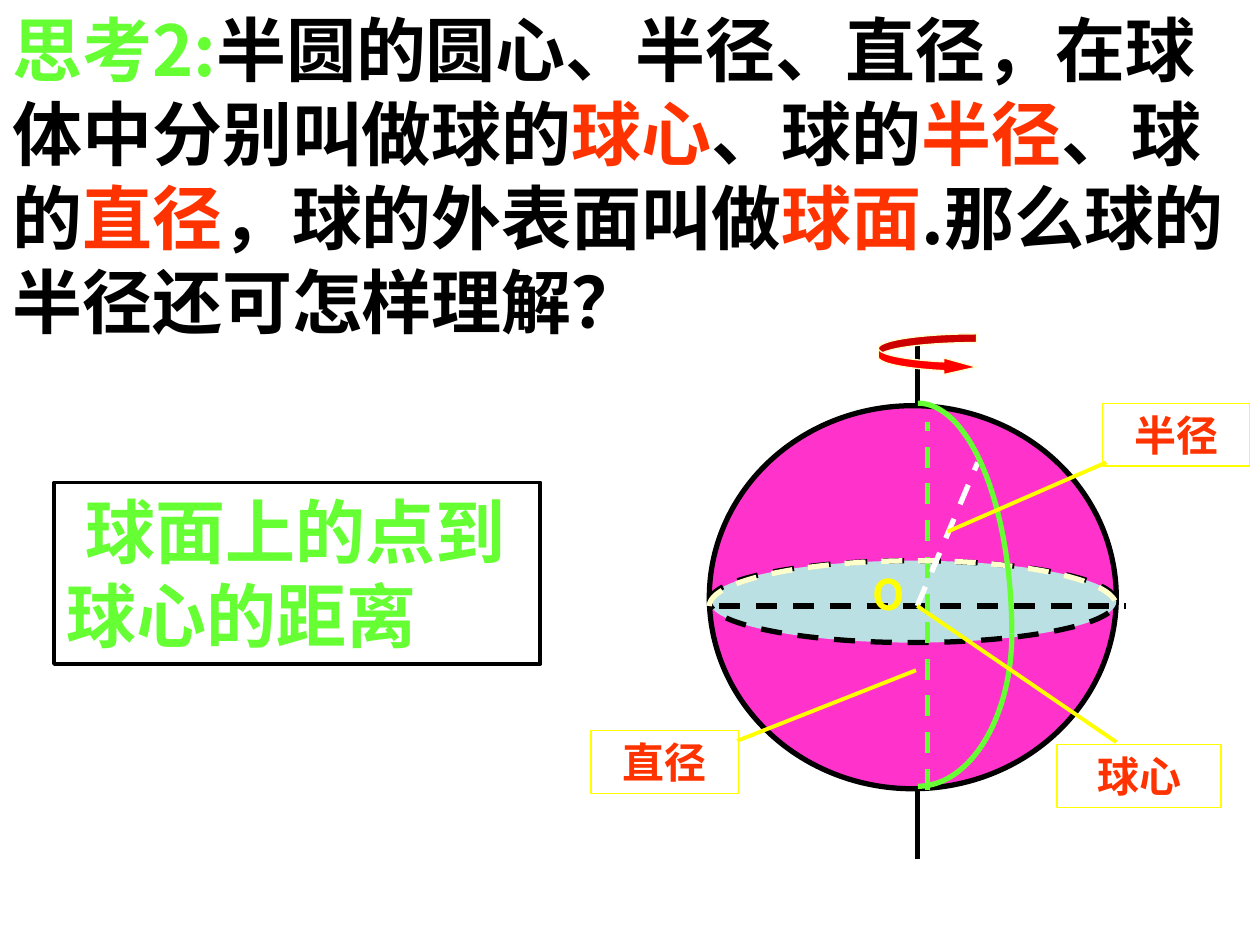
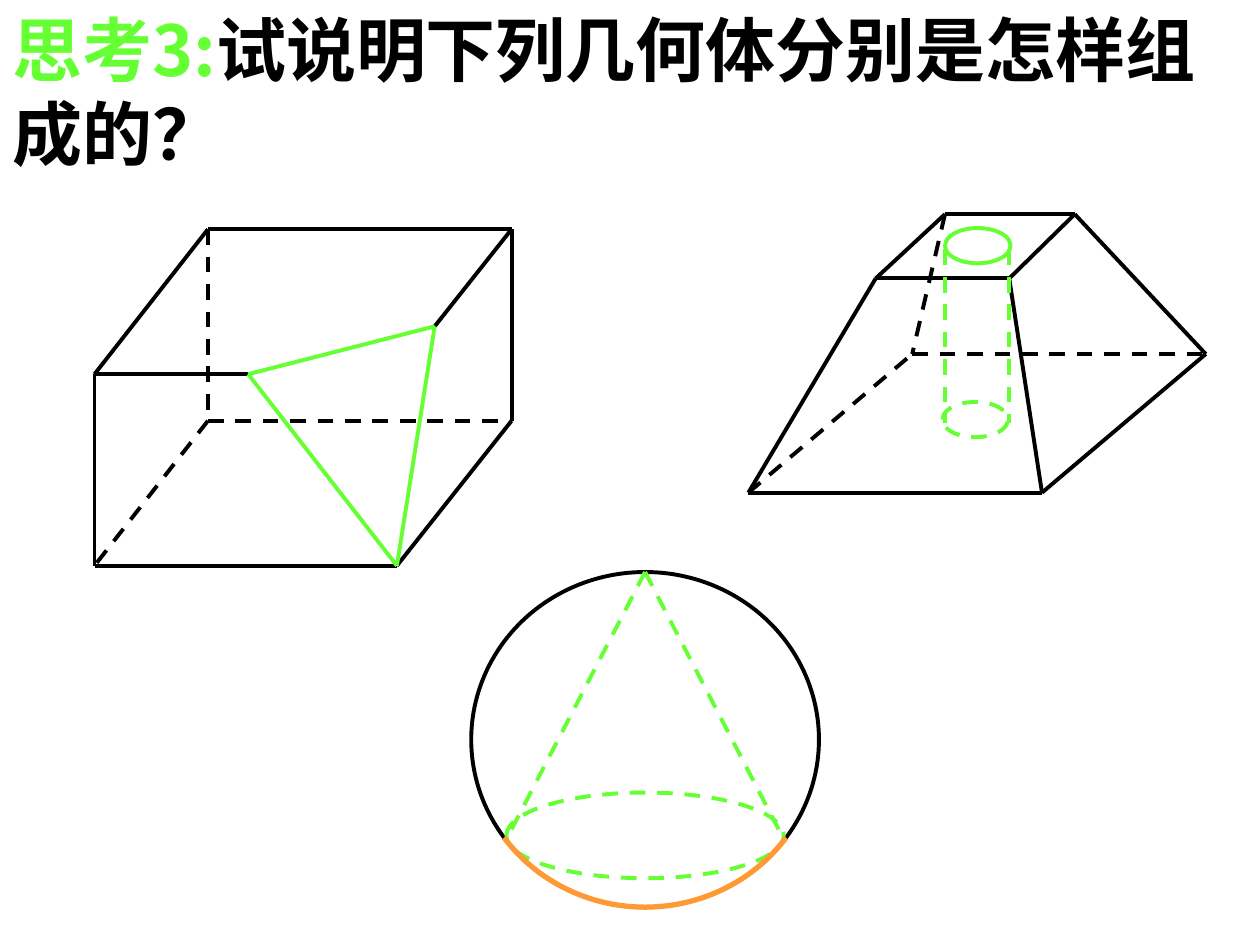
from dataclasses import dataclass

from lxml import etree
from pptx import Presentation, util as u
from pptx.dml.color import RGBColor
from pptx.enum import dml, shapes, text as t
from pptx.oxml.ns import qn


@dataclass(frozen=True)
class Theme:
    black: str = "000000"
    white: str = "FFFFFF"
    green: str = "66FF33"
    red: str = "FF3300"
    arrow: str = "FF0000"
    yellow: str = "FFFF00"
    cream: str = "FFFFCC"
    orange: str = "FF9933"
    pink: str = "FF33CC"
    blue: str = "BBE0E3"
    cjk: str = "Noto Sans CJK SC"
    latin: str = "Arial"
    big: int = 40
    small: int = 24
    leading: float = 1.2
    thin: float = 0.75
    medium: float = 2.25
    thick: float = 3


th = Theme()
geo = shapes.MSO_SHAPE
prs = Presentation()
prs.slide_width, prs.slide_height = u.Inches(10), u.Inches(7.5)
unit = prs.slide_width // 100


def write(sp, text, *, color=th.black, size=th.big, font=th.cjk, align=t.PP_ALIGN.LEFT):
    tf = sp.text_frame
    tf.word_wrap = True
    tf.vertical_anchor = t.MSO_ANCHOR.TOP
    p = tf.paragraphs[0]
    p.alignment = align
    p.line_spacing = u.Pt(size * th.leading)
    r = p.add_run()
    r.text = text
    r.font.size, r.font.bold, r.font.name = u.Pt(size), True, font
    r.font.color.rgb = RGBColor.from_string(color)
    etree.SubElement(r.font._element, qn("a:ea")).set("typeface", th.cjk)


def draw(s, kind, box, color=th.black, weight=th.medium, dash=False, fill=None, adjust=()):
    box = [round(v * unit) for v in box]
    if kind == "line":
        sp = s.shapes.add_connector(shapes.MSO_CONNECTOR.STRAIGHT, *box)
        etree.SubElement(sp._element.spPr, qn("a:effectLst"))
    else:
        sp = s.shapes.add_shape(kind, *box)
        sp.shadow.inherit = False
        for i, value in enumerate(adjust):
            sp.adjustments[i] = value
        if fill:
            sp.fill.solid()
            sp.fill.fore_color.rgb = RGBColor.from_string(fill)
        else:
            sp.fill.background()
    sp.line.color.rgb = RGBColor.from_string(color)
    sp.line.width = u.Pt(weight)
    if dash:
        sp.line.dash_style = dml.MSO_LINE.DASH
    if kind != "line":
        return sp


titles = [
    (27.7, [
        ("思考2:", th.green),
        ("半圆的圆心、半径、直径，在球体中分别叫做球的", th.black),
        ("球心", th.red),
        ("、球的", th.black),
        ("半径", th.red),
        ("、球的", th.black),
        ("直径", th.red),
        ("，球的外表面叫做", th.black),
        ("球面", th.red),
        (".那么球的半径还可怎样理解？", th.black),
    ]),
    (14.4, [
        ("思考3:", th.green),
        ("试说明下列几何体分别是怎样组成的？", th.black),
    ]),
]
slides = []
for height, runs in titles:
    s = prs.slides.add_slide(prs.slide_layouts[6])
    sp = s.shapes.add_textbox(0, 0, prs.slide_width, round(height * unit))
    for words, color in runs:
        write(sp, words, color=color)
    slides.append(s)
sphere_slide, solids_slide = slides

s = sphere_slide
axis, equator = 72.8, 48.1
top_left, top_right, bottom_right = (108, 162), (162, 0), (0, 54)

draw(s, geo.OVAL, (56.3, 32.2, 32.3, 30.4), weight=th.thick, fill=th.pink)
draw(s, geo.OVAL, (56.3, 44.5, 32.3, 6.5), weight=th.thick, dash=True, fill=th.blue)
draw(s, "line", (57.1, equator, 89.4, equator), weight=th.thick, dash=True)
for start, end in [(48.8, 33.5), (62.7, 47.4)]:
    draw(s, "line", (73.6, start, 73.6, end), th.green, th.thick, True)
for start, end in [(32.2, 26.8), (68.2, 62.7)]:
    draw(s, "line", (axis, start, axis, end), weight=th.thick)
for box, quarter in [
    ((56.3, 44.5, 33, 7.2), top_left),
    ((57.1, 44.5, 31.5, 7.2), top_right),
]:
    draw(s, geo.ARC, box, th.cream, th.thick, True, adjust=quarter)
draw(s, "line", (axis, equator, 77.6, 36.7), th.white, th.thick, True)
draw(s, geo.CURVED_RIGHT_ARROW, (69.7, 26.5, 7.8, 3.3), th.cream, th.thin,
     fill=th.arrow, adjust=(0.21, 0.4, 0.79))
sp = s.shapes.add_textbox(*[round(v * unit) for v in (67.3, 44.6, 6.5, 5)])
write(sp, "O", color=th.yellow, size=th.small, align=t.PP_ALIGN.CENTER)
for box, quarter in [
    ((65.4, 32, 14.9, 36.6), top_right),
    ((65.4, 38.2, 14.9, 24.2), bottom_right),
]:
    draw(s, geo.ARC, box, th.green, th.thick, adjust=quarter)

callouts = [
    ("直径", (46.9, 58, 11.7, 5), (72.7, 53.2, 58.5, 58.8)),
    ("半径", (87.5, 32, 11.7, 5), (75.2, 42.2, 87.8, 36.7)),
    ("球心", (83.9, 59.1, 13, 5), (axis, equator, 88.6, 58.9)),
]
for words, box, leader in callouts:
    draw(s, "line", leader, th.yellow)
    sp = draw(s, geo.RECTANGLE, box, th.yellow, th.thin)
    write(sp, words, color=th.red, size=th.small, font=th.latin, align=t.PP_ALIGN.CENTER)

sp = draw(s, geo.RECTANGLE, (4.3, 38.3, 38.6, 14.4))
write(sp, "球面上的点到球心的距离", color=th.green)
sp.text_frame.paragraphs[0]._p.get_or_add_pPr().set("indent", str(u.Inches(0.15)))

s = solids_slide
box_points = {
    "A": (16.5, 18.2), "B": (40.6, 18.2), "C": (7.5, 29.7),
    "a": (16.5, 33.4), "b": (40.6, 33.4), "c": (7.5, 44.9), "d": (31.5, 44.9),
    "m": (19.7, 29.7), "n": (34.5, 25.9),
}
frustum_points = {
    "A": (75, 17), "B": (85.3, 17), "C": (69.5, 22.1), "D": (80.1, 22.1),
    "a": (72.4, 28.1), "b": (95.7, 28.1), "c": (59.4, 39.1), "d": (82.7, 39.1),
}
solids = [
    (box_points, "AB AC Cc Bb cd bd Cm Bn", "Aa ab ac", "mn nd md"),
    (frustum_points, "cd db AB CD CA BD Dd Bb Cc", "ab ca Aa", ""),
]
for points, solid, hidden, cut in solids:
    for edges, color, dash in [
        (solid, th.black, False), (hidden, th.black, True), (cut, th.green, False),
    ]:
        for start, end in edges.split():
            draw(s, "line", points[start] + points[end], color, dash=dash)

for left, top, dash in [(75, 18.1, False), (74.8, 31.9, True)]:
    draw(s, geo.OVAL, (left, top, 5.2, 2.8), th.green, dash=dash)
for x in (75, 80.1):
    draw(s, "line", (x, 19.8, x, 33.6), th.green, dash=True)

ball = (37.4, 45.4, 27.6, 26.6)
draw(s, geo.OVAL, ball)
draw(s, geo.OVAL, (40.2, 62.9, 22, 6.8), th.green, dash=True)
for x in (40.2, 62.2):
    draw(s, "line", (51.2, 45.4, x, 66.6), th.green, dash=True)
draw(s, geo.ARC, ball, th.orange, th.thick, adjust=(20.9, 87.1))

prs.save("out.pptx")
